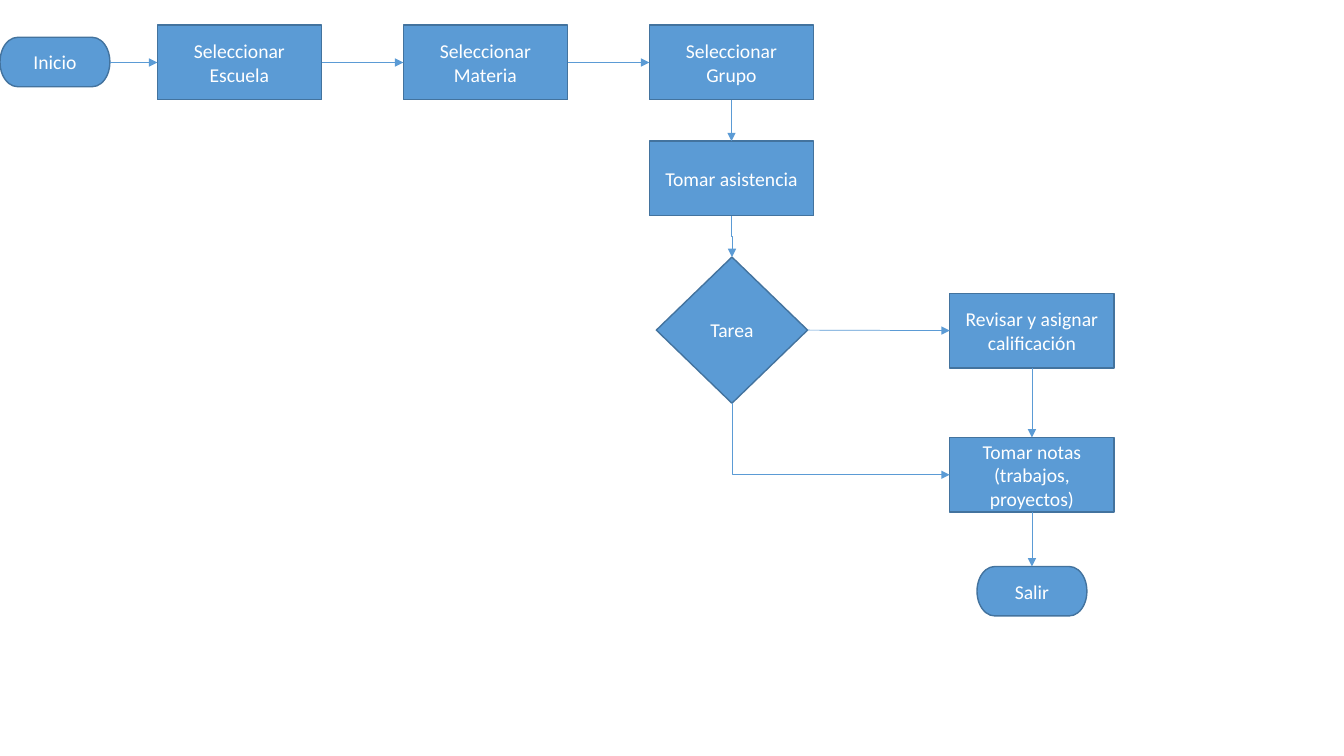
from dataclasses import dataclass
from enum import IntEnum

from lxml import etree
from pptx import Presentation
from pptx import util as u
from pptx.dml.color import RGBColor
from pptx.enum import shapes, text
from pptx.oxml.ns import qn

COLORS = {"fill": "5B9BD5", "border": "43739E", "arrow": "5B9BD5", "label": "FFFFFF"}
PROCESS = shapes.MSO_SHAPE.FLOWCHART_PROCESS
DECISION = shapes.MSO_SHAPE.FLOWCHART_DECISION
TERMINATOR = shapes.MSO_SHAPE.FLOWCHART_TERMINATOR
SIZES = {PROCESS: (1.63, 0.74), DECISION: (1.5, 1.45), TERMINATOR: (1.09, 0.49)}
STRAIGHT = shapes.MSO_CONNECTOR.STRAIGHT
ELBOW = shapes.MSO_CONNECTOR.ELBOW


class Side(IntEnum):
    TOP = 0
    LEFT = 1
    BOTTOM = 2
    RIGHT = 3


@dataclass(frozen=True)
class Step:
    label: str
    left: float
    top: float
    kind: shapes.MSO_SHAPE = PROCESS


@dataclass(frozen=True)
class Arrow:
    start: str
    end: str
    leaves: Side
    enters: Side
    kind: shapes.MSO_CONNECTOR = STRAIGHT


FIRST_COLUMN, COLUMN_PITCH = 1.56, 2.44
FIRST_ROW, ROW_PITCH = 0.25, 1.15
GROUP_COLUMN = FIRST_COLUMN + 2 * COLUMN_PITCH
GRADING_COLUMN = 9.42

STEPS = {
    "inicio": Step("Inicio", 0, 0.37, TERMINATOR),
    "escuela": Step("Seleccionar Escuela", FIRST_COLUMN, FIRST_ROW),
    "materia": Step("Seleccionar Materia", FIRST_COLUMN + COLUMN_PITCH, FIRST_ROW),
    "grupo": Step("Seleccionar Grupo", GROUP_COLUMN, FIRST_ROW),
    "asistencia": Step("Tomar asistencia", GROUP_COLUMN, FIRST_ROW + ROW_PITCH),
    "tarea": Step("Tarea", 6.51, FIRST_ROW + 2 * ROW_PITCH, DECISION),
    "revisar": Step("Revisar y asignar calificación", GRADING_COLUMN, 2.91),
    "notas": Step("Tomar notas (trabajos, proyectos)", GRADING_COLUMN, 4.34),
    "salir": Step("Salir", 9.69, 5.62, TERMINATOR),
}

ARROWS = [
    Arrow("inicio", "escuela", Side.RIGHT, Side.LEFT, ELBOW),
    Arrow("escuela", "materia", Side.RIGHT, Side.LEFT, ELBOW),
    Arrow("materia", "grupo", Side.RIGHT, Side.LEFT, ELBOW),
    Arrow("grupo", "asistencia", Side.BOTTOM, Side.TOP),
    Arrow("asistencia", "tarea", Side.BOTTOM, Side.TOP, ELBOW),
    Arrow("tarea", "revisar", Side.RIGHT, Side.LEFT),
    Arrow("revisar", "notas", Side.BOTTOM, Side.TOP),
    Arrow("notas", "salir", Side.BOTTOM, Side.TOP, ELBOW),
    Arrow("tarea", "notas", Side.BOTTOM, Side.LEFT, ELBOW),
]


def color(key: str) -> RGBColor:
    return RGBColor.from_string(COLORS[key])


def write(frame, label: str, *, size: float, font: str, ink: str) -> None:
    frame.word_wrap = True
    frame.vertical_anchor = text.MSO_ANCHOR.MIDDLE
    paragraph = frame.paragraphs[0]
    paragraph.alignment = text.PP_ALIGN.CENTER
    run = paragraph.add_run()
    run.text = label
    run.font.size = u.Pt(size)
    run.font.name = font
    run.font.color.rgb = color(ink)


def draw_step(slide, step: Step):
    width, height = SIZES[step.kind]
    box = slide.shapes.add_shape(
        step.kind, u.Inches(step.left), u.Inches(step.top), u.Inches(width), u.Inches(height)
    )
    box.shadow.inherit = False
    box.fill.solid()
    box.fill.fore_color.rgb = color("fill")
    box.line.color.rgb = color("border")
    box.line.width = u.Pt(1)
    write(box.text_frame, step.label, size=14, font="Calibri", ink="label")
    return box


def turn_downward(link, single_bend: bool) -> None:
    run, drop = link.end_x - link.begin_x, link.end_y - link.begin_y
    center_x = (link.begin_x + link.end_x) // 2
    center_y = (link.begin_y + link.end_y) // 2
    link.width, link.height = drop, abs(run)
    link.left, link.top = center_x - drop // 2, center_y - abs(run) // 2
    properties = link._element.spPr
    frame = properties.find(qn("a:xfrm"))
    frame.attrib.pop("flipH", None)
    frame.set("rot", "5400000")
    if run > 0:
        frame.set("flipV", "1")
    if single_bend:
        properties.find(qn("a:prstGeom")).set("prst", "bentConnector2")


def draw_arrow(slide, arrow: Arrow, boxes: dict) -> None:
    link = slide.shapes.add_connector(arrow.kind, 0, 0, 0, 0)
    link.begin_connect(boxes[arrow.start], arrow.leaves.value)
    link.end_connect(boxes[arrow.end], arrow.enters.value)
    if arrow.kind == ELBOW and arrow.leaves == Side.BOTTOM:
        turn_downward(link, arrow.enters == Side.LEFT)
    link.line.color.rgb = color("arrow")
    link.line.width = u.Pt(0.5)
    properties = link._element.spPr
    etree.SubElement(properties.find(qn("a:ln")), qn("a:tailEnd"), type="triangle")
    etree.SubElement(properties, qn("a:effectLst"))


def main() -> None:
    deck = Presentation()
    deck.slide_width, deck.slide_height = u.Inches(13.33), u.Inches(7.5)
    slide = deck.slides.add_slide(deck.slide_layouts.get_by_name("Blank"))
    boxes = {key: draw_step(slide, step) for key, step in STEPS.items()}
    for arrow in ARROWS:
        draw_arrow(slide, arrow, boxes)
    deck.save("out.pptx")


main()
